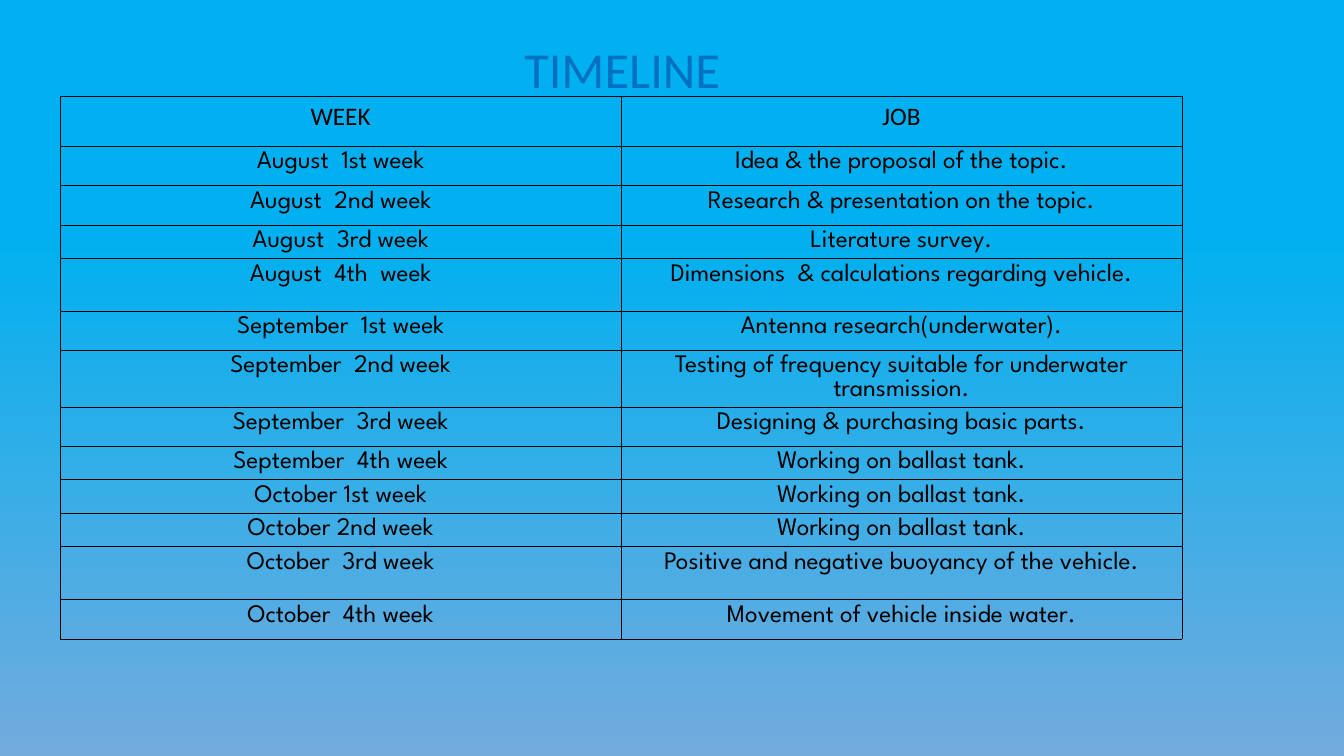
from dataclasses import dataclass

from lxml import etree
from pptx import Presentation
from pptx.dml.color import RGBColor
from pptx.enum.text import MSO_ANCHOR, PP_ALIGN
from pptx.oxml.ns import qn
from pptx.util import Pt

CENTER = PP_ALIGN.CENTER
MIDDLE = MSO_ANCHOR.MIDDLE
TITLE_ONLY = 5


@dataclass(frozen=True)
class Theme:
    """Colours, fonts and sizes of the slide."""
    sky: str = "00B0F0"
    haze: str = "73ABDD"
    title: str = "0070C0"
    ink: str = "000000"
    head_font: str = "Calibri"
    body_font: str = "League Spartan"
    title_size: float = 36
    cell_size: float = 18
    border: float = 0.5


THEME = Theme()
COLUMN_WIDTH = 400.6
SCHEDULE = [
    ("WEEK", "JOB", 35.5),
    ("August  1st week", "Idea & the proposal of the topic.", 28.2),
    ("August  2nd week", "Research & presentation on the topic.", 28.2),
    ("August  3rd week", "Literature survey.", 21.8),
    ("August  4th  week", "Dimensions  & calculations regarding vehicle.", 37.4),
    ("September  1st week", "Antenna research(underwater).", 28.2),
    ("September  2nd week",
     "Testing of frequency suitable for underwater transmission.", 38),
    ("September  3rd week", "Designing & purchasing basic parts.", 28.2),
    ("September  4th week", "Working on ballast tank.", 21.8),
    ("October 1st week", "Working on ballast tank.", 21.8),
    ("October 2nd week", "Working on ballast tank.", 21.8),
    ("October  3rd week", "Positive and negative buoyancy of the vehicle.", 38),
    ("October  4th week", "Movement of vehicle inside water.", 28.2),
]


def set_attrs(obj, values):
    """Set each named attribute of an object."""
    for name, value in values.items():
        setattr(obj, name, value)


def write(tf, text, font, size, color):
    """Write one centred paragraph and return it."""
    p = tf.paragraphs[0]
    p.alignment = CENTER
    r = p.add_run()
    r.text = text
    set_attrs(r.font, {"name": font, "size": Pt(size), "bold": False})
    r.font.color.rgb = RGBColor.from_string(color)
    return p


def paint_background(slide):
    """Fill the background with a vertical gradient."""
    fill = slide.background.fill
    fill.gradient()
    fill.gradient_angle = 270
    stops = ((0.31, THEME.sky), (1, THEME.haze))
    for stop, (position, color) in zip(fill.gradient_stops, stops):
        stop.position = position
        stop.color.rgb = RGBColor.from_string(color)


def add_title(slide, text):
    """Place and format the title placeholder."""
    sp = slide.shapes.title
    set_attrs(sp, {"left": Pt(106), "top": Pt(0),
                   "width": Pt(677), "height": Pt(103.5)})
    sp.text_frame.vertical_anchor = MIDDLE
    p = write(sp.text_frame, text, THEME.head_font, THEME.title_size, THEME.title)
    p.line_spacing = 0.9


def add_borders(cell):
    """Draw a thin line on each side of a cell."""
    tc_pr = cell._tc.get_or_add_tcPr()
    for side in ("a:lnL", "a:lnR", "a:lnT", "a:lnB"):
        ln = etree.SubElement(tc_pr, qn(side), w=str(Pt(THEME.border)))
        fill = etree.SubElement(ln, qn("a:solidFill"))
        etree.SubElement(fill, qn("a:srgbClr"), val=THEME.ink)


def add_schedule(slide, rows):
    """Add the table of weeks and jobs."""
    height = sum(row[-1] for row in rows)
    table = slide.shapes.add_table(len(rows), 2, Pt(43), Pt(69),
                                   Pt(2 * COLUMN_WIDTH), Pt(height)).table
    set_attrs(table, {"first_row": False, "horz_banding": False})
    for column in table.columns:
        column.width = Pt(COLUMN_WIDTH)
    for i, (week, job, row_height) in enumerate(rows):
        table.rows[i].height = Pt(row_height)
        font = THEME.body_font if i else THEME.head_font
        for cell, text in zip(table.rows[i].cells, (week, job)):
            add_borders(cell)
            cell.fill.background()
            write(cell.text_frame, text, font, THEME.cell_size, THEME.ink)


def main():
    """Build and save the slide."""
    prs = Presentation()
    set_attrs(prs, {"slide_width": Pt(960), "slide_height": Pt(540)})
    slide = prs.slides.add_slide(prs.slide_layouts[TITLE_ONLY])
    paint_background(slide)
    add_title(slide, "TIMELINE")
    add_schedule(slide, SCHEDULE)
    prs.save("out.pptx")


if __name__ == "__main__":
    main()
